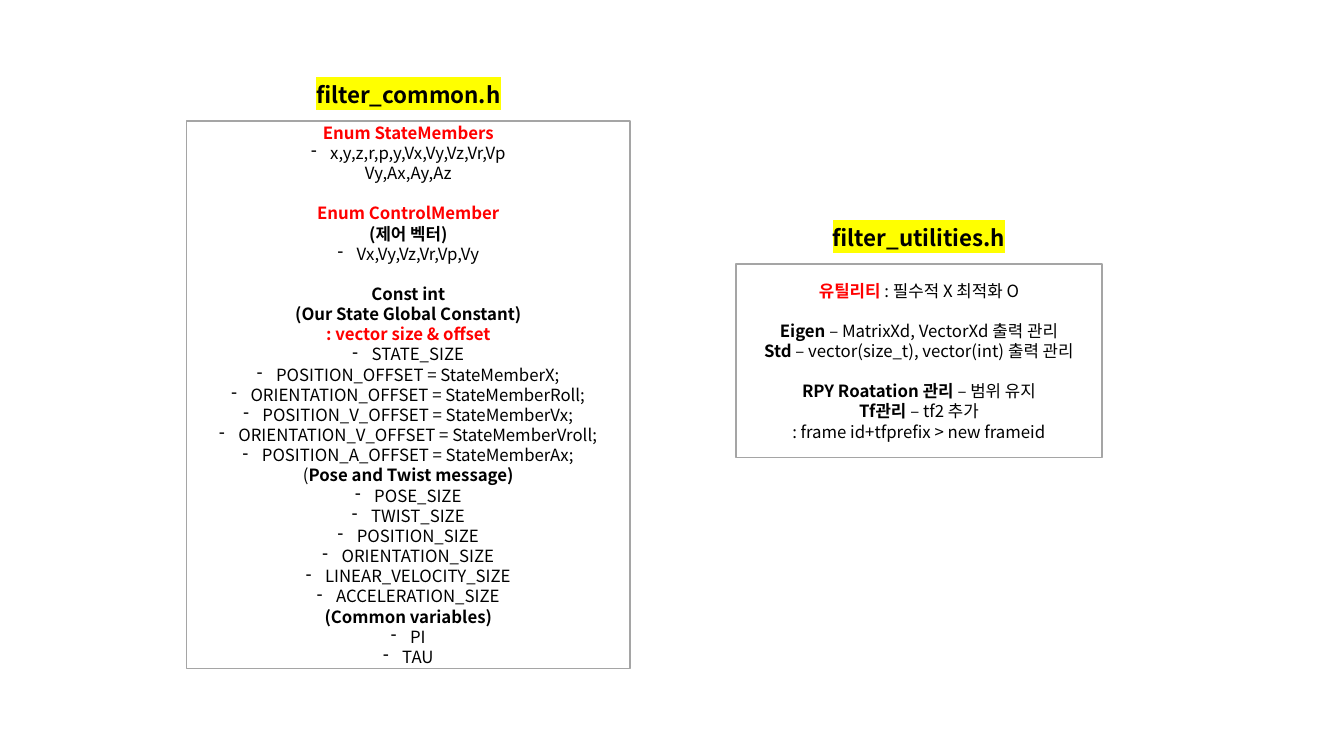
"""Slide listing the contents of two filter header files."""
from lxml import etree
from pptx import Presentation
from pptx import util as u
from pptx.dml.color import RGBColor
from pptx.enum import shapes, text
from pptx.oxml.ns import qn

FONT = "Noto Sans CJK KR"
BLACK = RGBColor(0, 0, 0)
RED = RGBColor(255, 0, 0)
GREY = RGBColor(0xA5, 0xA5, 0xA5)
WHITE = RGBColor(255, 255, 255)
LINE = u.Pt(14.4)
DENT = u.Inches(0.19)
GAP = []

COMMON = [
    [("red", "Enum StateMembers")],
    [("dash", "x,y,z,r,p,y,Vx,Vy,Vz,Vr,Vp")],
    [("plain", "Vy,Ax,Ay,Az")],
    GAP,
    [("red", "Enum ControlMember")],
    [("bold", "(제어 벡터)")],
    [("dash", "Vx,Vy,Vz,Vr,Vp,Vy")],
    GAP,
    [("bold", "Const int")],
    [("bold", "(Our State Global Constant)")],
    [("red", ": vector size & offset")],
    [("dash", "STATE_SIZE")],
    [("dash", "POSITION_OFFSET = StateMemberX;")],
    [("dash", "ORIENTATION_OFFSET = StateMemberRoll;")],
    [("dash", "POSITION_V_OFFSET = StateMemberVx;")],
    [("dash", "ORIENTATION_V_OFFSET = StateMemberVroll;")],
    [("dash", "POSITION_A_OFFSET = StateMemberAx;")],
    [("plain", "("), ("bold", "Pose and Twist message)")],
    [("dash", "POSE_SIZE")],
    [("dash", "TWIST_SIZE")],
    [("dash", "POSITION_SIZE")],
    [("dash", "ORIENTATION_SIZE")],
    [("dash", "LINEAR_VELOCITY_SIZE")],
    [("dash", "ACCELERATION_SIZE")],
    [("bold", "(Common variables)")],
    [("dash", "PI")],
    [("dash", "TAU")],
]
TOOLS = [
    [("red", "유틸리티 "), ("plain", ": 필수적 X 최적화 O")],
    GAP,
    [("bold", "Eigen"), ("plain", " – MatrixXd, VectorXd 출력 관리")],
    [("bold", "Std"), ("plain", " – vector(size_t), vector(int) 출력 관리")],
    GAP,
    [("bold", "RPY Roatation 관리 "), ("plain", "– 범위 유지")],
    [("bold", "Tf관리 "), ("plain", "– tf2 추가")],
    [("plain", ": frame id+tfprefix > new frameid")],
]
PANELS = [
    ("filter_common.h", COMMON, 13.88, 16, 33, 72.4, None),
    ("filter_utilities.h", TOOLS, 54.76, 34.93, 27.23, 25.6, WHITE),
]


def style(run, size, bold, color):
    run.font.size = u.Pt(size)
    run.font.bold = bold
    run.font.color.rgb = color
    run.font.name = FONT
    latin = run.font._element.find(qn("a:latin"))
    east = etree.Element(qn("a:ea"), typeface=FONT)
    latin.addnext(east)
    return latin


def setup(frame):
    frame.word_wrap = True
    frame.vertical_anchor = text.MSO_ANCHOR.MIDDLE
    frame.margin_top = frame.margin_bottom = 0


deck = Presentation()
deck.slide_width, deck.slide_height = u.Inches(13.33), u.Inches(7.5)
slide = deck.slides.add_slide(deck.slide_layouts[6])
col, row = deck.slide_width / 100, deck.slide_height / 100
wide, high, lift = 15.75, 10, 8.55

for name, lines, left, top, width, height, fill in PANELS:
    group = slide.shapes.add_group_shape()

    title = group.shapes.add_textbox(
        int((left + (width - wide) / 2) * col), int((top - lift) * row),
        int(wide * col), int(high * row))
    frame = title.text_frame
    setup(frame)
    frame.margin_left = frame.margin_right = 0
    frame.text = name
    frame.paragraphs[0].alignment = text.PP_ALIGN.CENTER
    latin = style(frame.paragraphs[0].runs[0], 16, True, BLACK)
    mark = etree.Element(qn("a:highlight"))
    etree.SubElement(mark, qn("a:srgbClr"), val="FFFF00")
    latin.addprevious(mark)

    box = group.shapes.add_shape(
        shapes.MSO_SHAPE.RECTANGLE,
        int(left * col), int(top * row), int(width * col), int(height * row))
    box.shadow.inherit = False
    box.line.color.rgb = GREY
    box.line.width = u.Pt(1)
    if fill is None:
        box.fill.background()
    else:
        box.fill.solid()
        box.fill.fore_color.rgb = fill
    frame = box.text_frame
    setup(frame)

    para = frame.paragraphs[0]
    for num, parts in enumerate(lines):
        if parts == GAP:
            continue
        if num:
            para = frame.add_paragraph()
        para.alignment = text.PP_ALIGN.CENTER
        para.line_spacing = LINE
        if num and lines[num - 1] == GAP:
            para.space_before = LINE
        if parts[0][0] == "dash":
            props = para._p.get_or_add_pPr()
            props.set("marL", str(DENT))
            props.set("indent", str(-DENT))
            etree.SubElement(props, qn("a:buChar"), char="-")
        for kind, words in parts:
            run = para.add_run()
            run.text = words
            style(run, 12, kind in ("red", "bold"), RED if kind == "red" else BLACK)

deck.save("out.pptx")
